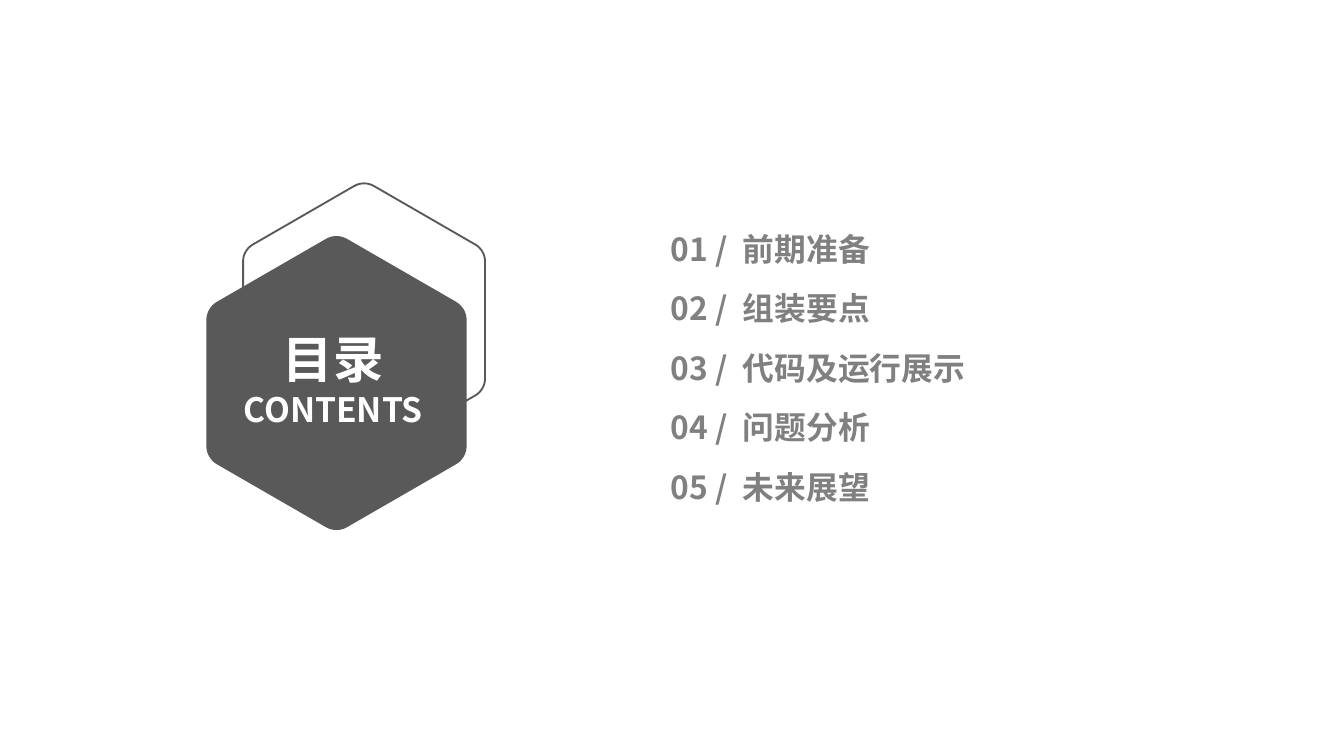
from math import cos, pi, sin

from lxml.etree import SubElement
from pptx import Presentation
from pptx.dml.color import RGBColor
from pptx.enum.text import MSO_AUTO_SIZE as AutoSize, PP_ALIGN as Align
from pptx.oxml.ns import qn
from pptx.util import Cm, Pt

FONT = "Noto Sans CJK SC"
COLORS = {"dark": "595959", "grey": "808080", "white": "FFFFFF"}

# Heading, box width and box height in cm
CHAPTERS = [
    ("前期准备", 8.28, 0.91),
    ("组装要点", 6.81, 0.91),
    ("代码及运行展示", 7.57, 0.91),
    ("问题分析", 7.19, 1.65),
    ("未来展望", 7.19, 1.65),
]


def rgb(name):
    return RGBColor.from_string(COLORS[name])


def add_text_box(slide, x, y, w, h):
    tf = slide.shapes.add_textbox(Cm(x), Cm(y), Cm(w), Cm(h)).text_frame
    settings = {
        "word_wrap": True, "auto_size": AutoSize.SHAPE_TO_FIT_TEXT,
        "margin_left": Cm(0.18), "margin_right": Cm(0.18),
        "margin_top": Cm(0.1), "margin_bottom": Cm(0.1),
    }
    for key, value in settings.items():
        setattr(tf, key, value)
    return tf


def add_bold_run(p, text, size, color):
    r = p.add_run()
    r.text = text
    for key, value in {"name": FONT, "size": Pt(size), "bold": True}.items():
        setattr(r.font, key, value)
    r.font.color.rgb = rgb(color)
    SubElement(r._r.get_or_add_rPr(), qn("a:ea"), typeface=FONT)


def add_hexagon(slide, cx, cy, radius, steps=8):
    """Add a regular hexagon, point up, with corners rounded by arcs."""
    fillet = 0.14 * radius
    reach = radius - fillet / cos(pi / 6)
    points = []
    for corner in range(6):
        angle = corner * pi / 3 - pi / 2
        for step in range(steps + 1):
            turn = angle + (step / steps - 0.5) * pi / 3
            points.append((Cm(cx + reach * cos(angle) + fillet * cos(turn)),
                           Cm(cy + reach * sin(angle) + fillet * sin(turn))))
    builder = slide.shapes.build_freeform(*points[0])
    builder.add_line_segments(points[1:], close=True)
    sp = builder.convert_to_shape()
    sp.shadow.inherit = False
    return sp


def add_outline_hexagon(slide, cx, cy, radius):
    sp = add_hexagon(slide, cx, cy, radius)
    sp.fill.background()
    sp.line.color.rgb = rgb("dark")
    sp.line.width = Pt(1)


def add_title_badge(slide, cx, cy, radius):
    sp = add_hexagon(slide, cx, cy, radius)
    sp.fill.solid()
    sp.fill.fore_color.rgb = rgb("dark")
    sp.line.fill.background()

    tf = add_text_box(slide, cx - 2.37, cy - 1.14, 4.62, 2.11)
    lines = [("目录", 27), ("CONTENTS", 18)]
    for i, (text, size) in enumerate(lines):
        p = tf.add_paragraph() if i else tf.paragraphs[0]
        p.alignment = Align.CENTER
        add_bold_run(p, text, size, "white")


def add_chapter_list(slide, x, y, pitch):
    for i, (heading, width, height) in enumerate(CHAPTERS):
        tf = add_text_box(slide, x, y + i * pitch, width, height)
        p = tf.paragraphs[0]
        tabs = SubElement(p._p.get_or_add_pPr(), qn("a:tabLst"))
        SubElement(tabs, qn("a:tab"), pos=str(Cm(1.36)), algn="l")
        add_bold_run(p, f"{i + 1:02d} /\t{heading}", 17, "grey")


def main():
    prs = Presentation()
    prs.slide_width, prs.slide_height = Cm(25.4), Cm(14.29)
    slide = prs.slides.add_slide(prs.slide_layouts[6])
    add_outline_hexagon(slide, 6.88, 6.05, 2.64)
    add_title_badge(slide, 6.36, 7.24, 2.84)
    add_chapter_list(slide, 12.5, 4.24, 1.125)
    prs.save("out.pptx")


if __name__ == "__main__":
    main()
